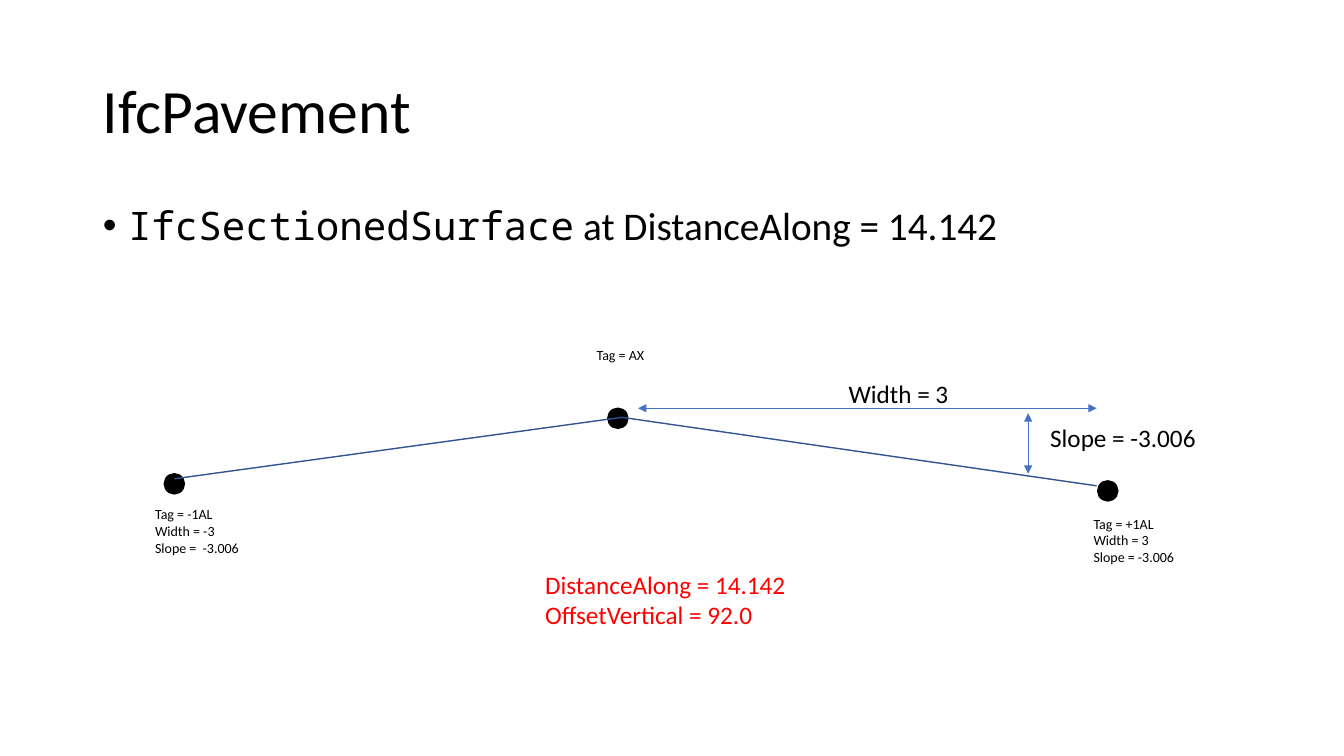
from lxml.etree import SubElement
from pptx import Presentation
from pptx.dml.color import RGBColor
from pptx.enum.shapes import MSO_CONNECTOR, MSO_SHAPE
from pptx.enum.text import MSO_ANCHOR, MSO_AUTO_SIZE, PP_ALIGN
from pptx.oxml.ns import qn
from pptx.util import Pt

BLACK, RED, BLUE, NAVY = "000000", "FF0000", "4472C4", "325491"
DOT_SIZE = 14.4


def color(hex_code):
    """Turn a hex string into a colour."""
    return RGBColor.from_string(hex_code)


def style_font(font, size, name="Calibri", hex_code=BLACK):
    """Set the size, typeface and colour of a font."""
    font.size, font.name = Pt(size), name
    font.color.rgb = color(hex_code)


def style_line(line, hex_code, width):
    """Set the colour and width of a line."""
    line.color.rgb = color(hex_code)
    line.width = Pt(width)


def place(shape, left, top, width, height):
    """Move and size a shape in points."""
    shape.left, shape.top = Pt(left), Pt(top)
    shape.width, shape.height = Pt(width), Pt(height)


def fill_title(title, text):
    """Format and fill the title placeholder."""
    place(title, 66.24, 28.8, 828, 104.4)
    frame = title.text_frame
    frame.text = text
    frame.vertical_anchor = MSO_ANCHOR.MIDDLE
    frame.auto_size = MSO_AUTO_SIZE.NONE
    para = frame.paragraphs[0]
    para.alignment, para.line_spacing = PP_ALIGN.LEFT, 0.9
    style_font(para.font, 44)


def fill_body(body, parts):
    """Fill the body placeholder with one bullet of (text, typeface) parts."""
    place(body, 66.24, 144, 828, 342.72)
    frame = body.text_frame
    frame.auto_size = MSO_AUTO_SIZE.NONE
    para = frame.paragraphs[0]
    para.line_spacing, para.space_before = 0.9, Pt(10)
    for text, typeface in parts:
        span = para.add_run()
        span.text = text
        style_font(span.font, 28, typeface)
    props = next(body.element.iter(qn("a:pPr")))
    props.set("marL", str(Pt(18)))
    props.set("indent", str(Pt(-18)))
    SubElement(props, qn("a:buFont"), typeface="Arial")
    SubElement(props, qn("a:buChar"), char="•")


def add_label(slide, bounds, lines, size=10, hex_code=BLACK):
    """Add a text box with one paragraph per line."""
    box = slide.shapes.add_textbox(*map(Pt, bounds))
    frame = box.text_frame
    frame.word_wrap = True
    frame.auto_size = MSO_AUTO_SIZE.SHAPE_TO_FIT_TEXT
    frame.text = "\n".join(lines)
    for para in frame.paragraphs:
        style_font(para.font, size, hex_code=hex_code)


def add_dot(slide, left, top):
    """Add a black point of the cross section."""
    dot = slide.shapes.add_shape(
        MSO_SHAPE.FLOWCHART_CONNECTOR, Pt(left), Pt(top), Pt(DOT_SIZE), Pt(DOT_SIZE))
    dot.shadow.inherit = False
    dot.fill.solid()
    dot.fill.fore_color.rgb = color(BLACK)
    style_line(dot.line, BLACK, 1)


def add_profile(slide, points):
    """Add the open outline of the pavement surface."""
    start, *rest = [(Pt(x), Pt(y)) for x, y in points]
    builder = slide.shapes.build_freeform(*start)
    builder.add_line_segments(rest, close=False)
    profile = builder.convert_to_shape()
    profile.shadow.inherit = False
    profile.fill.background()
    style_line(profile.line, NAVY, 1)


def add_dimension(slide, *ends):
    """Add a thin line with an arrowhead at both ends."""
    arrow = slide.shapes.add_connector(MSO_CONNECTOR.STRAIGHT, *map(Pt, ends))
    style_line(arrow.line, BLUE, 0.5)
    props = arrow.element.spPr
    outline = props.find(qn("a:ln"))
    for end in ("a:headEnd", "a:tailEnd"):
        SubElement(outline, qn(end), type="triangle")
    SubElement(props, qn("a:effectLst"))


def main():
    """Build and save the slide."""
    deck = Presentation()
    deck.slide_width, deck.slide_height = Pt(960), Pt(540)
    page = deck.slides.add_slide(deck.slide_layouts[1])
    title, body = page.placeholders
    fill_title(title, "IfcPavement")
    fill_body(body, [("IfcSectionedSurface", "Noto Sans Mono"),
                     (" at DistanceAlong = 14.142", "Calibri")])

    for left, top in [(117.36, 338.4), (434.16, 291.6), (784.08, 343.44)]:
        add_dot(page, left, top)
    add_label(page, (103.68, 357.84, 90, 43.92),
              ["Tag = -1AL", "Width = -3", "Slope =  -3.006"])
    add_label(page, (419.04, 244.08, 73.44, 31.68), ["Tag = AX"])
    add_label(page, (774, 364.32, 73.44, 43.92),
              ["Tag = +1AL", "Width = 3", "Slope = -3.006"])
    add_label(page, (382.32, 403.2, 203.76, 51.12),
              ["DistanceAlong = 14.142", "OffsetVertical = 92.0"], 18, RED)

    add_profile(page, [(124.56, 342), (444.24, 298.08), (783.36, 347.04)])
    add_dimension(page, 455.76, 291.6, 783.36, 291.6)
    add_label(page, (599.04, 266.4, 90.72, 28.8), ["Width = 3"], 18)
    add_dimension(page, 734.4, 295.2, 734.4, 338.4)
    add_label(page, (743.04, 298.08, 164.16, 28.8), ["Slope = -3.006"], 18)
    deck.save("out.pptx")


if __name__ == "__main__":
    main()
